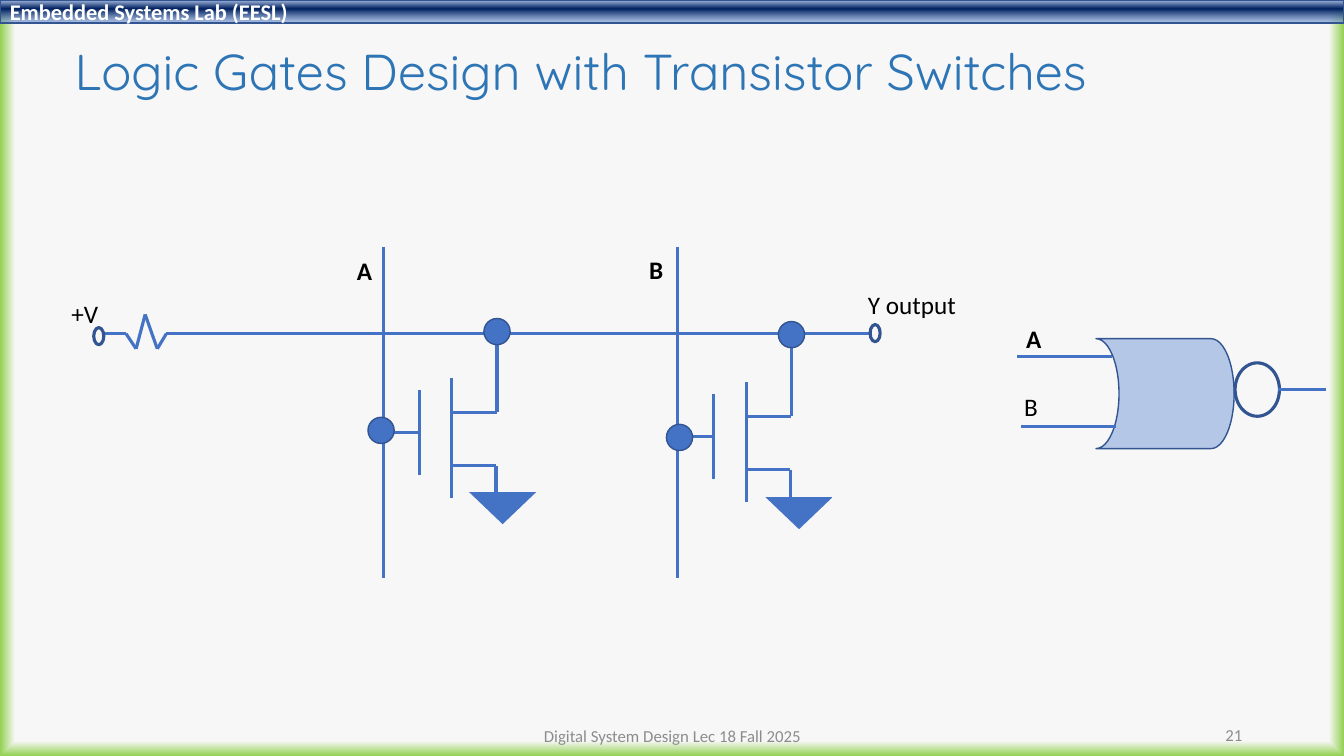
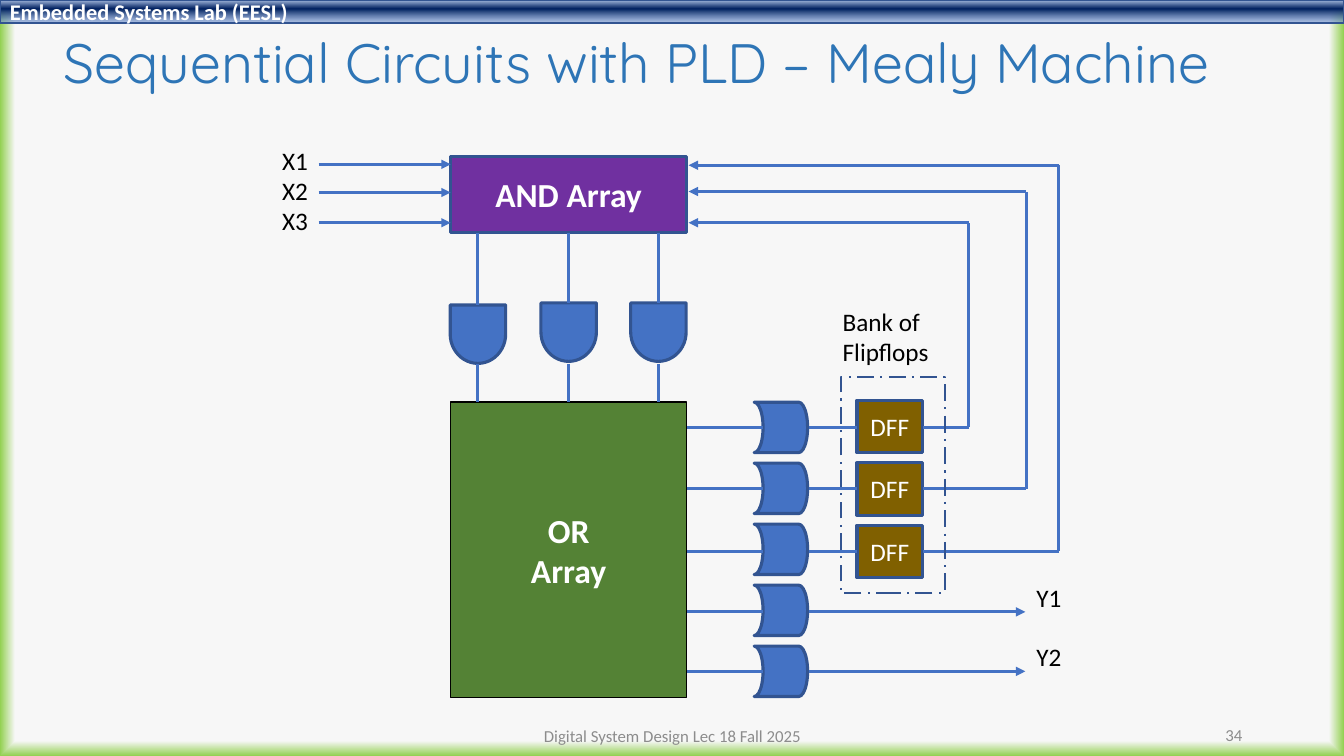
from dataclasses import dataclass
from itertools import pairwise

from lxml.etree import SubElement
from pptx import Presentation
from pptx.dml.color import RGBColor
from pptx.enum.dml import MSO_LINE, MSO_PATTERN
from pptx.enum.shapes import MSO_CONNECTOR, MSO_SHAPE as Form
from pptx.enum.text import MSO_ANCHOR as Anchor, MSO_AUTO_SIZE as Fit, PP_ALIGN as Align
from pptx.oxml.ns import qn
from pptx.util import Inches, Pt


@dataclass(frozen=True)
class Theme:
    body: str = "Calibri"
    head: str = "Quicksand"
    title: str = "2E75B6"
    wire: str = "4472C4"
    edge: str = "325491"
    pale: str = "B4C7E7"
    plum: str = "7030A0"
    leaf: str = "548235"
    gold: str = "806000"
    gray: str = "8C8C8C"
    black: str = "000000"
    white: str = "FFFFFF"
    # gradient stops: percent, colour, opacity in percent
    glow: tuple = ((96, "F7F7F7", 0), (100, "92D050", 100))
    sheen: tuple = ((2, "ABC0E4", 100), (38, "002060", 100), (93, "7E9ED6", 64))
    thin: float = 1
    dash: float = 1.5
    bold: float = 2.25
    small: float = 12
    brand: float = 16
    label: float = 18
    block: float = 24


T = Theme()
WIDTH, HEIGHT = 13.33, 7.5
BRAND = "Embedded Systems Lab (EESL)"
FOOTER = "Digital System Design Lec 18 Fall 2025"

# Logic gate slide
CELLS = [(4.48, 3.75), (7.40, 3.79)]
STROKES = [  # one transistor, measured from the top of its channel
    [(0, 0), (0, 1.19)],
    [(-0.32, 0.12), (-0.32, 0.96)],
    [(0, 0.87), (0.44, 0.87), (0.44, 1.17)],
    [(-0.32, 0.54), (-0.68, 0.54)],
]
RAIL = 3.31
RESISTOR = [(1.02, RAIL), (1.25, RAIL), (1.35, 3.46), (1.44, 3.12),
            (1.56, 3.46), (1.65, RAIL), (1.88, RAIL)]
GROUNDS = [(4.65, 4.88), (7.59, 4.93)]
INPUTS = [3.8, 6.72]
DOTS = [(7.72, 3.19), (6.61, 4.21), (3.65, 4.14), (4.8, 3.16)]
ENDS = [(0.93, 3.25), (8.63, 3.22)]
LEADS = [[(10.09, 3.54), (11.03, 3.54)], [(10.13, 4.23), (11.07, 4.23)],
         [(12.68, 3.86), (13.15, 3.86)]]
NAMES = [  # text, left, top, width, bold
    ("+V", 0.61, 2.91, 0.47, False),
    ("A", 3.44, 2.48, 0.35, True),
    ("B", 6.34, 2.47, 0.34, True),
    ("Y output", 8.51, 2.82, 1.08, False),
    ("A", 10.08, 3.16, 0.35, True),
    ("B", 10.06, 3.83, 0.34, False),
]

# Mealy machine slide
ARRAYS = [
    ("AND Array", (4.47, 1.55, 2.34, 0.76), T.plum, T.edge, T.bold),
    ("OR\nArray", (4.47, 3.99, 2.34, 2.93), T.leaf, T.black, T.thin),
]
XROWS = [1.63, 1.91, 2.21]
ANDS = [(4.74, 3.04), (5.64, 3.02), (6.53, 3.02)]  # centre, top
ROWS = [4.24, 4.85, 5.47, 6.07, 6.66]
LOOPS = [(9.61, 2.21), (10.18, 1.9), (10.5, 1.64)]  # far right, return height
SIGNS = [
    ("X1\nX2\nX3", 2.7, 1.39, 0.46, 1.01),
    ("Y1", 10.18, 5.73, 0.45, 0.4),
    ("Y2", 10.18, 6.31, 0.45, 0.4),
    ("Bank of\nFlipflops", 8.26, 2.99, 1.06, 0.71),
]


def rgb(code):
    return RGBColor.from_string(code)


def shade(fill, grad, stops, path=False):
    """Give a fill many stops: straight down, or from the centre outwards."""
    fill.gradient()
    grad.clear()
    bag = SubElement(grad, qn("a:gsLst"))
    for pos, code, alpha in stops:
        stop = SubElement(bag, qn("a:gs"), pos=str(pos * 1000))
        tint = SubElement(stop, qn("a:srgbClr"), val=code)
        if alpha < 100:
            SubElement(tint, qn("a:alpha"), val=str(alpha * 1000))
    if path:
        way = SubElement(grad, qn("a:path"), path="shape")
        SubElement(way, qn("a:fillToRect"), dict.fromkeys("ltrb", "50000"))
    else:
        SubElement(grad, qn("a:lin"), ang="5400000", scaled="0")


def gradient(fill, root, stops, path=False):
    fill.gradient()
    shade(fill, root.find(".//" + qn("a:gradFill")), stops, path)


def write(frame, text, size, color, bold=False, align=Align.LEFT, face=T.body):
    frame.text = text
    for para in frame.paragraphs:
        para.alignment = align
        font = para.font
        font.name, font.size, font.bold = face, Pt(size), bold
        font.color.rgb = rgb(color)


def label(slide, text, box, bold=False):
    frame = slide.shapes.add_textbox(*map(Inches, box)).text_frame
    frame.word_wrap = False
    frame.auto_size = Fit.SHAPE_TO_FIT_TEXT
    write(frame, text, T.label, T.black, bold)


def foot(slide, text, box, align):
    frame = slide.shapes.add_textbox(*map(Inches, box)).text_frame
    frame.word_wrap = True
    frame.vertical_anchor = Anchor.MIDDLE
    write(frame, text, T.small, T.gray, align=align)


def shape(slide, form, box, fill=None, edge=T.edge, width=T.bold, turn=0):
    item = slide.shapes.add_shape(form, *map(Inches, box))
    item.shadow.inherit = False
    item.rotation = turn
    if fill:
        item.fill.solid()
        item.fill.fore_color.rgb = rgb(fill)
    else:
        item.fill.background()
    item.line.color.rgb = rgb(edge)
    item.line.width = Pt(width)
    return item


def block(slide, text, box, fill, edge=T.edge, width=T.bold, size=T.block, bold=True):
    frame = shape(slide, Form.RECTANGLE, box, fill, edge, width).text_frame
    frame.vertical_anchor = Anchor.MIDDLE
    write(frame, text, size, T.white, bold, Align.CENTER)


def wire(slide, points, arrow=False):
    """Join the points with straight lines; an arrow goes on the last one."""
    for start, end in pairwise(points):
        line = slide.shapes.add_connector(
            MSO_CONNECTOR.STRAIGHT, *map(Inches, (*start, *end)))
        line.line.color.rgb = rgb(T.wire)
        line.line.width = Pt(T.bold)
        props = line.element.spPr
        SubElement(props, qn("a:effectLst"))
    if arrow:
        SubElement(props.find(qn("a:ln")), qn("a:tailEnd"), type="triangle")


def start(deck, title, box, size, number):
    """Add a slide with its band, title, footer and number."""
    slide = deck.slides.add_slide(deck.slide_layouts[5])
    gradient(slide.background.fill, slide.element, T.glow, path=True)
    band = shape(slide, Form.RECTANGLE, (0, 0, WIDTH, 0.23), width=T.thin)
    gradient(band.fill, band.element, T.sheen)
    band.text_frame.vertical_anchor = Anchor.MIDDLE
    write(band.text_frame, BRAND, T.brand, T.white, True)

    head = slide.shapes.title
    head.left, head.top, head.width, head.height = map(Inches, box)
    frame = head.text_frame
    frame.auto_size = Fit.NONE
    frame.vertical_anchor = Anchor.MIDDLE
    write(frame, title, size, T.title, face=T.head)
    frame.paragraphs[0].line_spacing = 0.9

    foot(slide, number, (9.42, 7.09, 3, 0.4), Align.RIGHT)
    foot(slide, FOOTER, (4.42, 7.1, 4.5, 0.4), Align.CENTER)
    return slide


def switches(deck):
    slide = start(deck, "Logic Gates Design with Transistor Switches",
                  (0.64, 0.35, 12.22, 0.77), 36, "21")
    for x, y in CELLS:
        for stroke in STROKES:
            wire(slide, [(x + dx, y + dy) for dx, dy in stroke])
        wire(slide, [(x, y + 0.34), (x + 0.45, y + 0.34), (x + 0.45, RAIL)])
    for x, y in GROUNDS:
        ground = shape(slide, Form.ISOSCELES_TRIANGLE, (x, y, 0.67, 0.32), turn=180)
        ground.line.fill.background()
        ground.fill.patterned()
        ground.fill.pattern = MSO_PATTERN.DARK_HORIZONTAL
        ground.fill.fore_color.rgb = rgb(T.wire)
        ground.fill.back_color.rgb = rgb(T.white)
    wire(slide, [(8.65, RAIL), (1.87, RAIL)])
    wire(slide, RESISTOR)
    for x in INPUTS:
        wire(slide, [(x, 2.45), (x, 5.73)])
    for x, y in DOTS:
        shape(slide, Form.OVAL, (x, y, 0.26, 0.26), T.wire, width=T.thin)
    for x, y in ENDS:
        shape(slide, Form.OVAL, (x, y, 0.1, 0.17))
    shape(slide, Form.FLOWCHART_STORED_DATA, (10.87, 3.36, 1.37, 1.09),
          T.pale, width=T.thin, turn=180)
    shape(slide, Form.OVAL, (12.25, 3.6, 0.44, 0.53))
    for lead in LEADS:
        wire(slide, lead)
    for text, x, y, w, bold in NAMES:
        label(slide, text, (x, y, w, 0.4), bold)


def mealy(deck):
    slide = start(deck, "Sequential Circuits with PLD – Mealy Machine",
                  (0.53, 0.28, 12.42, 0.75), 39.6, "34")
    for item in ARRAYS:
        block(slide, *item)
    for y in XROWS:
        wire(slide, [(3.16, y), (4.47, y)], arrow=True)
    for mid, top in ANDS:
        shape(slide, Form.FLOWCHART_DELAY, (mid - 0.29, top, 0.58, 0.55), T.wire, turn=90)
        wire(slide, [(mid, 2.31), (mid, top - 0.01)])
        wire(slide, [(mid, 3.61), (mid, 3.99)])
    for i, y in enumerate(ROWS):
        shape(slide, Form.FLOWCHART_STORED_DATA, (7.48, 3.99 + 0.605 * i, 0.53, 0.5),
              T.wire, turn=180)
        wire(slide, [(6.81, y), (7.57, y)])
    for i, (y, (far, back)) in enumerate(zip(ROWS, LOOPS)):
        block(slide, "DFF", (8.5, 3.97 + 0.62 * i, 0.65, 0.52), T.gold,
              size=T.label, bold=False)
        wire(slide, [(8.02, y), (8.5, y)])
        wire(slide, [(9.15, y), (far, y), (far, back), (6.83, back)], arrow=True)
    for y in ROWS[len(LOOPS):]:
        wire(slide, [(8.02, y), (10.17, y)], arrow=True)
    bank = shape(slide, Form.RECTANGLE, (8.34, 3.74, 1.03, 2.14), width=T.dash)
    bank.line.dash_style = MSO_LINE.LONG_DASH_DOT
    for text, *box in SIGNS:
        label(slide, text, box)


def main():
    deck = Presentation()
    deck.slide_width, deck.slide_height = Inches(WIDTH), Inches(HEIGHT)
    switches(deck)
    mealy(deck)
    deck.save("out.pptx")


if __name__ == "__main__":
    main()
